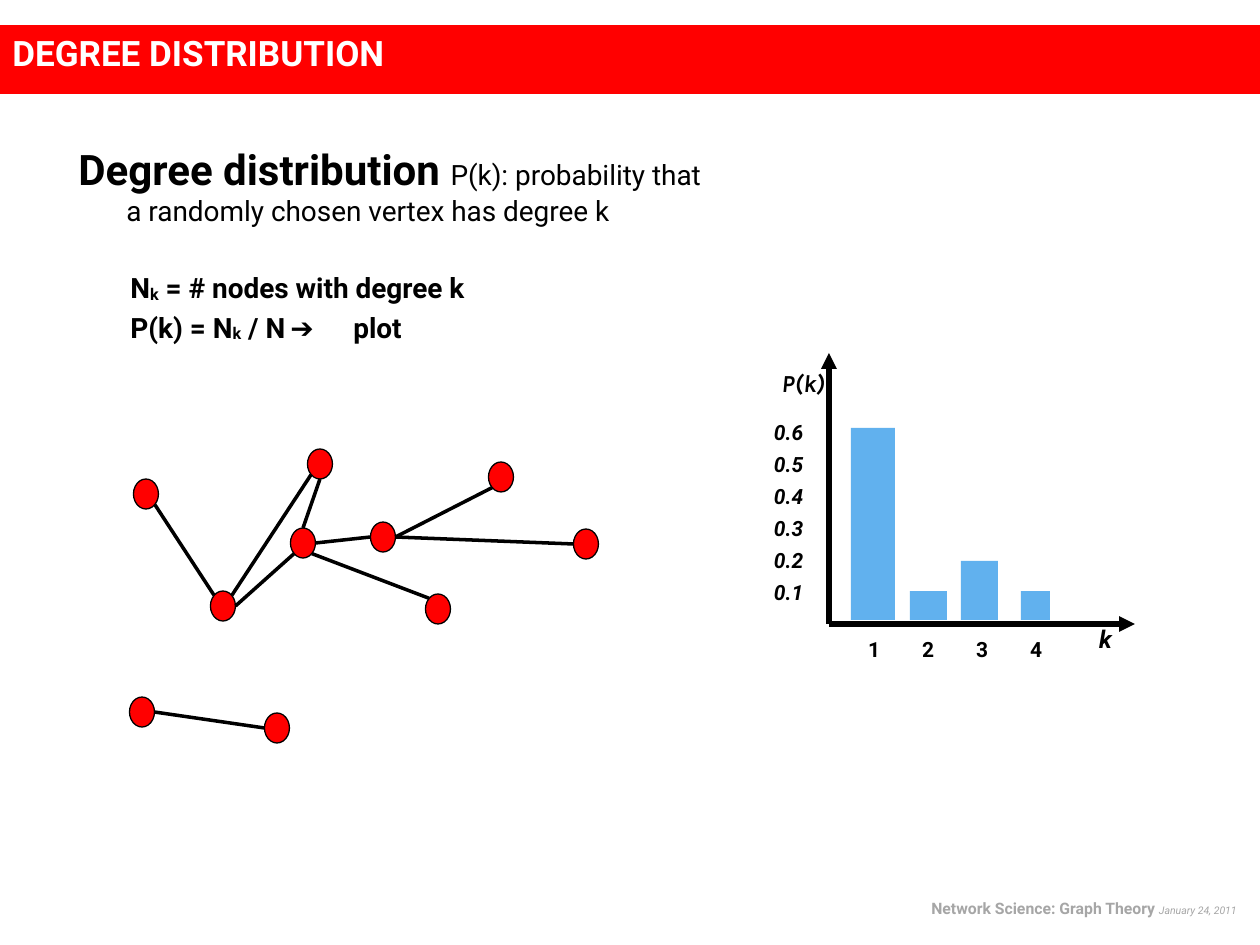
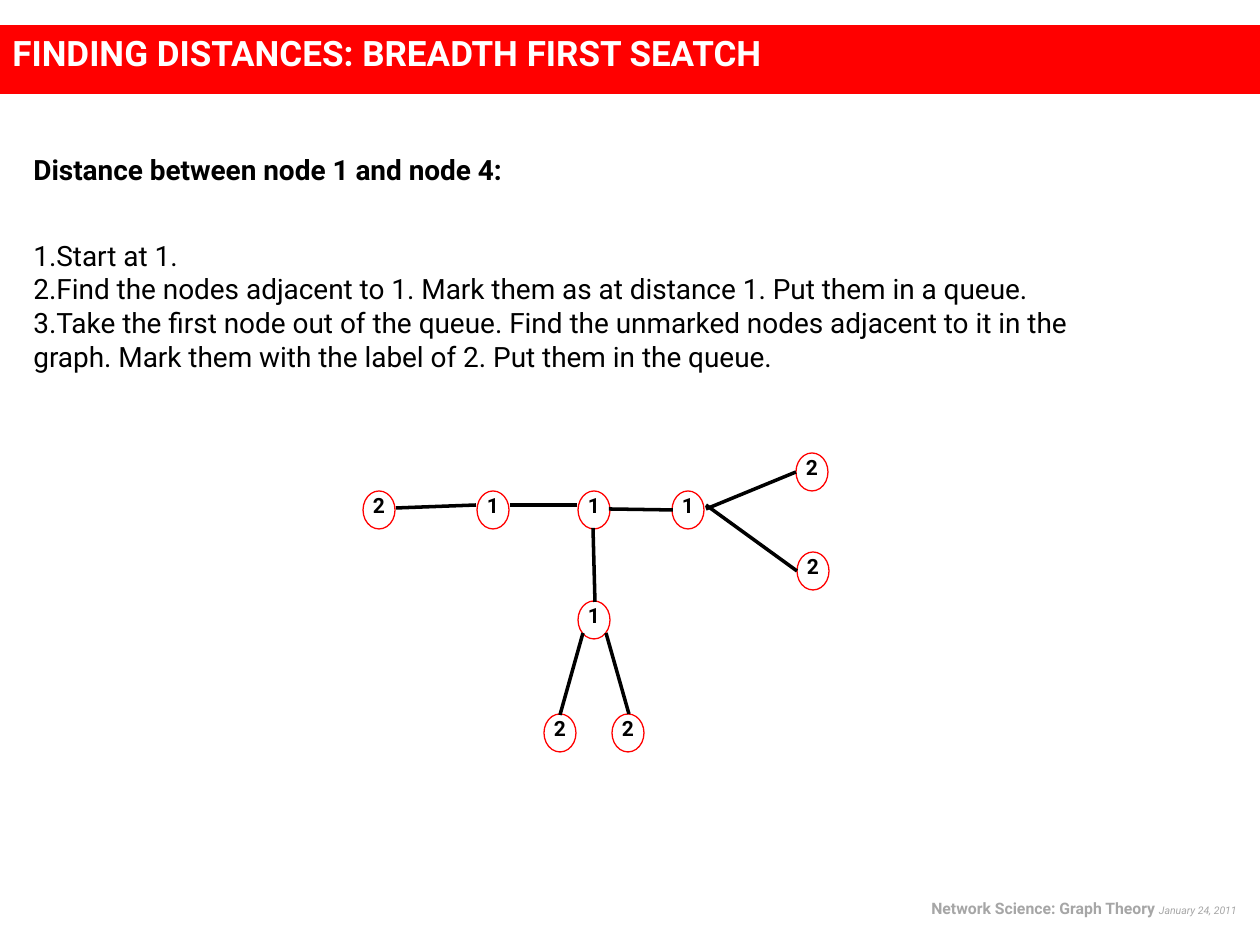
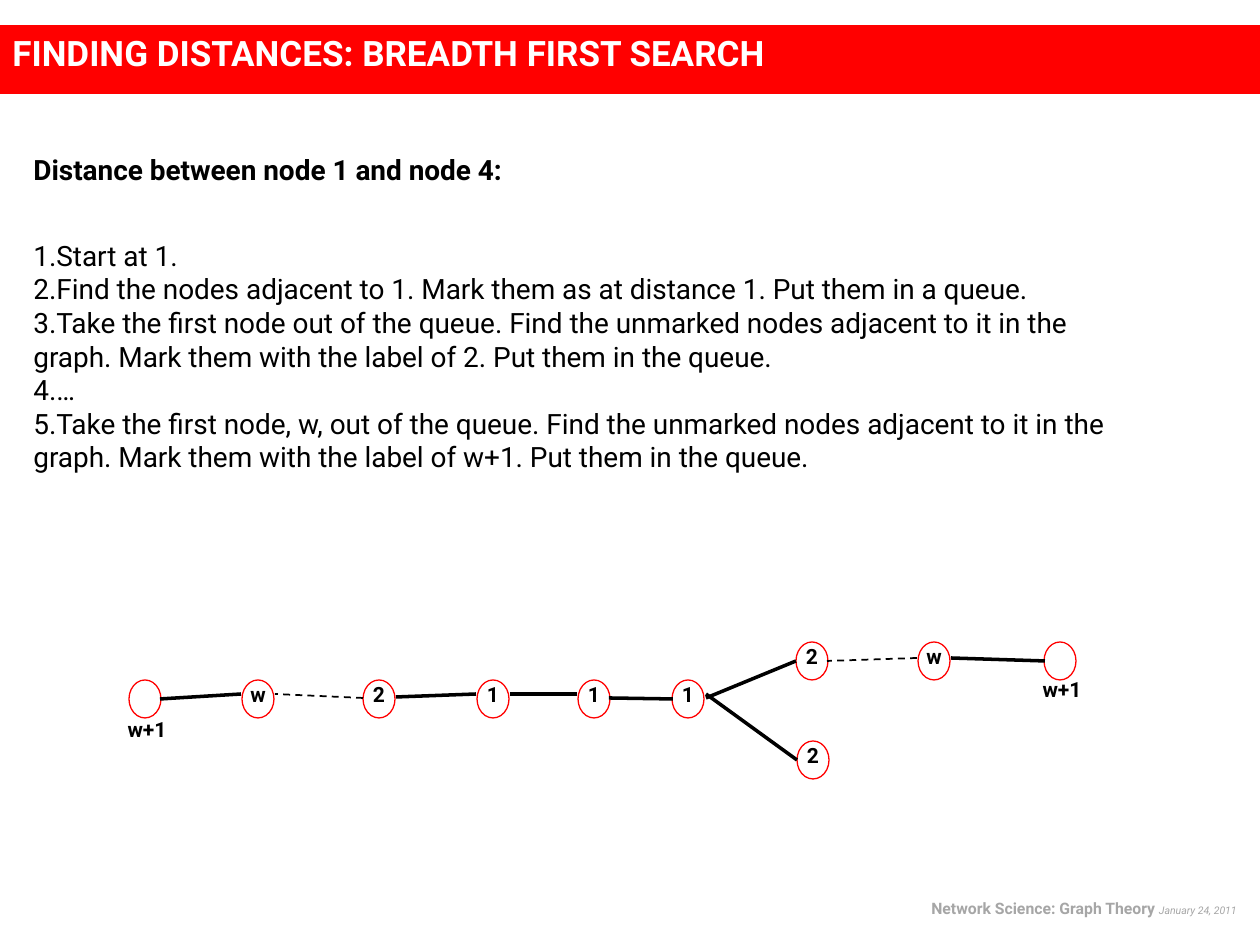
from lxml.etree import SubElement
from pptx import Presentation
from pptx.dml.color import RGBColor
from pptx.enum.dml import MSO_LINE
from pptx.enum.shapes import MSO_CONNECTOR, MSO_SHAPE
from pptx.enum.text import MSO_ANCHOR, PP_ALIGN
from pptx.oxml.ns import qn
from pptx.util import Emu, Pt

RED = RGBColor(0xFF, 0x00, 0x00)
BLACK = RGBColor(0x00, 0x00, 0x00)
WHITE = RGBColor(0xFF, 0xFF, 0xFF)
GREY = RGBColor(0xA6, 0xA6, 0xA6)
BLUE = RGBColor(0x00, 0x82, 0xE5)
FONT = "Roboto"
AXIS_FONT = "Karla"

DEGREE_TITLE = "DEGREE DISTRIBUTION"
DEFINITION = [
    ("Degree distribution ", 24, True),
    ("P(k): probability that ", 16, False),
    ("a randomly chosen vertex has degree k", 16, False),
]
FORMULAS = [
    [("N", 0), ("k", -6), (" = # nodes with degree k", 0)],
    [("P(k) = N", 0), ("k", -6), (" / N\t➔\tplot", 0)],
]
FORMULA_INDENT = 92
FORMULA_TABS = (282, 325)

VERTICES = {
    "a": (146, 494), "b": (223, 606), "c": (320, 464), "d": (303, 543),
    "e": (383, 537), "f": (438, 609), "g": (501, 477), "h": (586, 544),
    "i": (142, 712), "j": (277, 728),
}
VERTEX_SIZE = (25, 30)
VERTEX_EDGES = [
    ("i", "right", "j", "left"),
    ("a", "lower right", "b", "upper left"),
    ("b", "upper right", "c", "lower left"),
    ("e", "right", "g", "lower left"),
    ("e", "right", "h", "left"),
    ("d", "right", "e", "left"),
    ("d", "lower right", "f", "upper left"),
    ("d", "top", "c", "bottom"),
    ("b", "right", "d", "lower left"),
]
SITES = {
    "top": (0, -1), "bottom": (0, 1), "left": (-1, 0), "right": (1, 0),
    "upper left": (-0.71, -0.71), "upper right": (0.71, -0.71),
    "lower left": (-0.71, 0.71), "lower right": (0.71, 0.71),
}

AXIS_ORIGIN = (829, 624)
AXIS_ENDS = [(829, 353), (1135, 624)]
BAR_BASE = 620
BARS = [(851, 44, 192), (910, 37, 29), (961, 37, 59), (1021, 29, 29)]
DEGREES = ["1", "2", "3", "4"]
PROBABILITIES = ["0.1", "0.2", "0.3", "0.4", "0.5", "0.6"]

HEADING = "Distance between node 1 and node 4:"
FIRST_STEPS = [
    "Start at 1.",
    "Find the nodes adjacent to 1. Mark them as at distance 1. Put them in a queue.",
    "Take the first node out of the queue. Find the unmarked nodes adjacent to it in the graph. "
    "Mark them with the label of 2. Put them in the queue.",
]
LATER_STEPS = [
    "…",
    "Take the first node, w, out of the queue. Find the unmarked nodes adjacent to it in the graph. "
    "Mark them with the label of w+1. Put them in the queue.",
]
NODE_SIZE = (32, 38)
CORE_NODES = [
    ("2", 379, 510), ("1", 493, 510), ("1", 594, 510), ("1", 688, 510),
    ("2", 812, 472), ("2", 813, 571),
]
CORE_EDGES = [
    (396, 508, 476, 505), (510, 505, 577, 505), (609, 509, 673, 510),
    (796, 472, 706, 509), (797, 571, 706, 505),
]
BRANCH_NODES = [("1", 594, 620), ("2", 560, 733), ("2", 628, 733)]
BRANCH_EDGES = [(593, 528, 595, 602), (583, 633, 560, 715), (606, 633, 629, 714)]
TAIL_NODES = [("w", 258, 699), ("w", 934, 661), ("", 145, 699), ("", 1060, 661)]
TAIL_EDGES = [(1045, 661, 951, 658), (241, 694, 160, 699)]
TAIL_DASHES = [(917, 658, 827, 661), (363, 698, 275, 694)]
TAIL_LABELS = [(118, 717), (1033, 677)]
TREE_DROP = 189

SEARCHES = [
    {"title": "FINDING DISTANCES: BREADTH FIRST SEATCH", "steps": FIRST_STEPS,
     "height": 257, "drop": 0, "nodes": BRANCH_NODES, "edges": BRANCH_EDGES,
     "dashes": [], "labels": []},
    {"title": "FINDING DISTANCES: BREADTH FIRST SEARCH", "steps": FIRST_STEPS + LATER_STEPS,
     "height": 359, "drop": TREE_DROP, "nodes": TAIL_NODES, "edges": TAIL_EDGES,
     "dashes": TAIL_DASHES, "labels": TAIL_LABELS},
]


def px(length):
    return Emu(round(length * 914400 / 126))


def add_run(paragraph, text, size, color=BLACK, bold=True, italic=False, font=FONT):
    run = paragraph.add_run()
    run.text = text
    run.font.name = font
    run.font.size = Pt(size)
    run.font.bold = bold
    run.font.italic = italic
    run.font.color.rgb = color
    return run


def set_indent(paragraph, left, first):
    properties = paragraph._p.get_or_add_pPr()
    properties.set("marL", str(px(left)))
    properties.set("indent", str(px(first)))
    return properties


def add_text_frame(slide, left, top, width, height):
    frame = slide.shapes.add_textbox(px(left), px(top), px(width), px(height)).text_frame
    frame.word_wrap = True
    return frame


def add_label(slide, text, left, top, width, height=25, size=12, align=PP_ALIGN.LEFT,
              italic=False, font=FONT):
    frame = add_text_frame(slide, left, top, width, height)
    frame.margin_top = frame.margin_bottom = 0
    frame.margin_left = frame.margin_right = px(4)
    paragraph = frame.paragraphs[0]
    paragraph.alignment = align
    add_run(paragraph, text, size, italic=italic, font=font)


def add_filled(slide, preset, left, top, width, height, fill, outline=None):
    shape = slide.shapes.add_shape(preset, px(left), px(top), px(width), px(height))
    shape.shadow.inherit = False
    shape.fill.solid()
    shape.fill.fore_color.rgb = fill
    if outline is None:
        shape.line.fill.background()
    else:
        shape.line.color.rgb = outline
        shape.line.width = Pt(0.75)
    return shape


def add_ellipse(slide, center, size, fill, outline):
    (x, y), (width, height) = center, size
    add_filled(slide, MSO_SHAPE.OVAL, x - width / 2, y - height / 2, width, height, fill, outline)


def add_line(slide, start, end, weight=2, dashed=False, arrow=False):
    line = slide.shapes.add_connector(MSO_CONNECTOR.STRAIGHT, *map(px, (*start, *end)))
    line.line.color.rgb = BLACK
    line.line.width = Pt(weight)
    if dashed:
        line.line.dash_style = MSO_LINE.DASH
    if arrow:
        SubElement(line.line._get_or_add_ln(), qn("a:tailEnd"), type="triangle")
    SubElement(line._element.spPr, qn("a:effectLst"))


def add_slide(presentation, title):
    slide = presentation.slides.add_slide(presentation.slide_layouts[6])
    band = add_filled(slide, MSO_SHAPE.RECTANGLE, 0, 25, 1260, 69, RED)
    frame = band.text_frame
    frame.vertical_anchor = MSO_ANCHOR.TOP
    frame.paragraphs[0].alignment = PP_ALIGN.LEFT
    add_run(frame.paragraphs[0], title, 20, WHITE)
    footer = add_text_frame(slide, 892, 893, 357, 32).paragraphs[0]
    footer.alignment = PP_ALIGN.RIGHT
    add_run(footer, "Network Science: Graph Theory ", 9, GREY)
    add_run(footer, "January 24, 2011", 6, GREY, bold=False, italic=True)
    return slide


def add_definition(slide):
    frame = add_text_frame(slide, 26, 137, 1191, 753)
    paragraph = frame.paragraphs[0]
    set_indent(paragraph, 88, -48)
    *opening, last = DEFINITION
    for text, size, bold in opening:
        add_run(paragraph, text, size, bold=bold)
    paragraph.add_line_break()
    add_run(paragraph, last[0], last[1], bold=last[2])
    for formula, space in zip(FORMULAS, (25, 3.2)):
        paragraph = frame.add_paragraph()
        paragraph.space_before = Pt(space)
        properties = set_indent(paragraph, 0, FORMULA_INDENT)
        tabs = SubElement(properties, qn("a:tabLst"))
        for position in FORMULA_TABS:
            SubElement(tabs, qn("a:tab"), pos=str(px(position)), algn="l")
        for text, baseline in formula:
            run = add_run(paragraph, text, 16)
            if baseline:
                run.font._element.set("baseline", str(baseline * 1000))


def add_histogram(slide):
    for end in AXIS_ENDS:
        add_line(slide, AXIS_ORIGIN, end, weight=3, arrow=True)
    add_label(slide, "k", 1095, 624, 34, 60, size=14, italic=True)
    add_label(slide, "P(k)", 756, 368, 73, 60, size=14, align=PP_ALIGN.RIGHT,
              italic=True, font=AXIS_FONT)
    for index, degree in enumerate(DEGREES):
        add_label(slide, degree, 864 + 54 * index, 637, 34, 52)
    for index, probability in enumerate(PROBABILITIES):
        add_label(slide, probability, 770, 580 - 32 * index, 62, 52, italic=True)
    for left, width, height in BARS:
        bar = add_filled(slide, MSO_SHAPE.RECTANGLE, left, BAR_BASE - height, width, height, BLUE)
        color = bar._element.spPr.find(qn("a:solidFill"))[0]
        SubElement(color, qn("a:alpha"), val="62000")


def site_point(vertex, site):
    return [center + size / 2 * offset
            for center, size, offset in zip(VERTICES[vertex], VERTEX_SIZE, SITES[site])]


def add_network(slide):
    for center in VERTICES.values():
        add_ellipse(slide, center, VERTEX_SIZE, RED, BLACK)
    for start, start_site, end, end_site in VERTEX_EDGES:
        add_line(slide, site_point(start, start_site), site_point(end, end_site))


def add_steps(slide, steps, height):
    frame = add_text_frame(slide, 21, 126, 1113, height)
    heading = frame.paragraphs[0]
    heading.line_spacing = 1.6
    add_run(heading, HEADING, 16)
    for index, step in enumerate(steps):
        paragraph = frame.add_paragraph()
        if index == 0:
            paragraph.space_before = Pt(30)
        properties = set_indent(paragraph, 0, 0)
        SubElement(properties, qn("a:buAutoNum"), type="arabicPeriod")
        add_run(paragraph, step, 16, bold=False)


def add_tree(slide, search):
    drop = search["drop"]
    nodes = [(text, x, y + drop) for text, x, y in CORE_NODES] + search["nodes"]
    edges = [(x1, y1 + drop, x2, y2 + drop) for x1, y1, x2, y2 in CORE_EDGES] + search["edges"]
    for text, x, y in nodes:
        add_ellipse(slide, (x, y), NODE_SIZE, WHITE, RED)
        if text:
            add_label(slide, text, x - 17, y - 17, 34, align=PP_ALIGN.CENTER)
    for edge in edges:
        add_line(slide, edge[:2], edge[2:])
    for dash in search["dashes"]:
        add_line(slide, dash[:2], dash[2:], weight=1, dashed=True)
    for left, top in search["labels"]:
        add_label(slide, "w+1", left, top, 58, align=PP_ALIGN.CENTER)


def main():
    presentation = Presentation()
    presentation.slide_width = px(1260)
    presentation.slide_height = px(945)
    slide = add_slide(presentation, DEGREE_TITLE)
    add_definition(slide)
    add_histogram(slide)
    add_network(slide)
    for search in SEARCHES:
        slide = add_slide(presentation, search["title"])
        add_steps(slide, search["steps"], search["height"])
        add_tree(slide, search)
    presentation.save("out.pptx")


if __name__ == "__main__":
    main()
